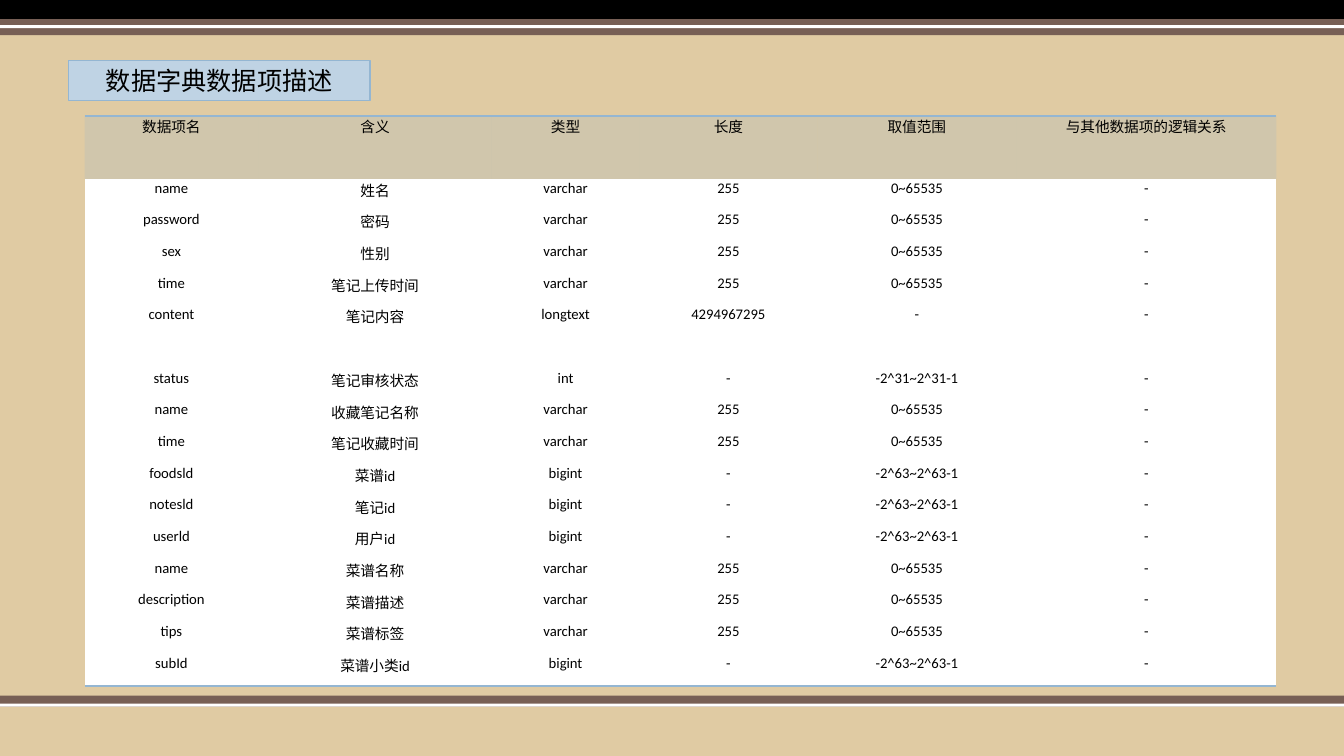
import pptx
import pptx.dml.color
import pptx.enum.shapes
import pptx.enum.text
import pptx.oxml
import pptx.oxml.ns
import pptx.util
from lxml import etree

Inches = pptx.util.Inches
Pt = pptx.util.Pt
RGBColor = pptx.dml.color.RGBColor
CENTER = pptx.enum.text.PP_ALIGN.CENTER
MIDDLE = pptx.enum.text.MSO_ANCHOR.MIDDLE
RECTANGLE = pptx.enum.shapes.MSO_SHAPE.RECTANGLE
qn = pptx.oxml.ns.qn

SAND = RGBColor(0xE0, 0xCB, 0xA3)
BROWN = RGBColor(0x77, 0x5F, 0x55)
BLACK = RGBColor(0x00, 0x00, 0x00)
WHITE = RGBColor(0xFF, 0xFF, 0xFF)
BLUE = RGBColor(0x94, 0xB6, 0xD2)
PALE_BLUE = RGBColor(0xBF, 0xD3, 0xE4)

HEADINGS = ["数据项名", "含义", "类型", "长度", "取值范围", "与其他数据项的逻辑关系"]
TYPE_LIMITS = {
    "varchar": ("255", "0~65535"),
    "longtext": ("4294967295", "-"),
    "int": ("-", "-2^31~2^31-1"),
    "bigint": ("-", "-2^63~2^63-1"),
}
ITEMS = [
    ("name", "姓名", "varchar"),
    ("password", "密码", "varchar"),
    ("sex", "性别", "varchar"),
    ("time", "笔记上传时间", "varchar"),
    ("content", "笔记内容", "longtext"),
    ("status", "笔记审核状态", "int"),
    ("name", "收藏笔记名称", "varchar"),
    ("time", "笔记收藏时间", "varchar"),
    ("foodsld", "菜谱id", "bigint"),
    ("notesld", "笔记id", "bigint"),
    ("userld", "用户id", "bigint"),
    ("name", "菜谱名称", "varchar"),
    ("description", "菜谱描述", "varchar"),
    ("tips", "菜谱标签", "varchar"),
    ("subId", "菜谱小类id", "bigint"),
]
COLUMN_WIDTHS = [1.72, 2.32, 1.46, 1.77, 1.97, 2.58]
DOUBLE_ROWS = (0, 5)


def add_block(left, top, width, height, color):
    block = slide.shapes.add_shape(
        RECTANGLE, Inches(left), Inches(top), Inches(width), Inches(height))
    block.shadow.inherit = False
    block.fill.solid()
    block.fill.fore_color.rgb = color
    block.line.fill.background()
    return block


def add_border(cell, tag):
    border = pptx.oxml.parse_xml(
        f'<a:{tag} {pptx.oxml.ns.nsdecls("a")} w="{Pt(1)}">'
        f'<a:solidFill><a:srgbClr val="{BLUE}"/></a:solidFill></a:{tag}>')
    cell._tc.get_or_add_tcPr().insert(0, border)


deck = pptx.Presentation()
deck.slide_width = Inches(13.33)
deck.slide_height = Inches(7.5)
slide = deck.slides.add_slide(deck.slide_layouts[6])
slide.background.fill.solid()
slide.background.fill.fore_color.rgb = SAND

for top, height, color in [
    (6.9, 0.11, BROWN), (6.98, 0.03, WHITE),
    (0, 0.19, BLACK), (0.19, 0.16, BROWN), (0.25, 0.03, WHITE),
]:
    add_block(0, top, 13.33, height, color)

title = add_block(0.68, 0.6, 2.99, 0.4, PALE_BLUE)
title.line.color.rgb = BLUE
title.line.width = Pt(0.75)
title.text_frame.text = "数据字典数据项描述"
title.text_frame.vertical_anchor = MIDDLE
title.text_frame.paragraphs[0].alignment = CENTER
title_font = title.text_frame.paragraphs[0].runs[0].font
title_font.size = Pt(18)
title_font.name = "Times New Roman"
title_font.color.rgb = BLACK

records = [HEADINGS] + [
    [name, meaning, kind, *TYPE_LIMITS[kind], "-"] for name, meaning, kind in ITEMS]
dictionary = slide.shapes.add_table(
    len(records), len(HEADINGS),
    Inches(0.84), Inches(1.15), Inches(11.81), Inches(5.66)).table
dictionary.first_row = False
dictionary.horz_banding = False
style_id = dictionary._tbl.tblPr.find(qn("a:tableStyleId"))
style_id.text = "{2D5ABB26-0587-4C30-8999-92F81FD0307C}"

for column, width in zip(dictionary.columns, COLUMN_WIDTHS):
    column.width = Inches(width)

line_height = Inches(5.66) // (len(records) + len(DOUBLE_ROWS))
for row, record in enumerate(records):
    dictionary.rows[row].height = line_height * (2 if row in DOUBLE_ROWS else 1)
    for col, value in enumerate(record):
        cell = dictionary.cell(row, col)
        cell.margin_left = cell.margin_right = Inches(0.07)
        cell.margin_top = cell.margin_bottom = 0
        cell.text_frame.text = value
        paragraph = cell.text_frame.paragraphs[0]
        paragraph.alignment = CENTER
        font = paragraph.runs[0].font
        font.size = Pt(10.5)
        font.name = "Calibri"
        font.color.rgb = BLACK
        cell.fill.solid()
        cell.fill.fore_color.rgb = BLUE if row == 0 else WHITE
        if row == 0:
            tint = cell._tc.tcPr.find(qn("a:solidFill")).find(qn("a:srgbClr"))
            etree.SubElement(tint, qn("a:alpha")).set("val", "20000")
            add_border(cell, "lnT")
        if row == len(records) - 1:
            add_border(cell, "lnB")

deck.save("out.pptx")
